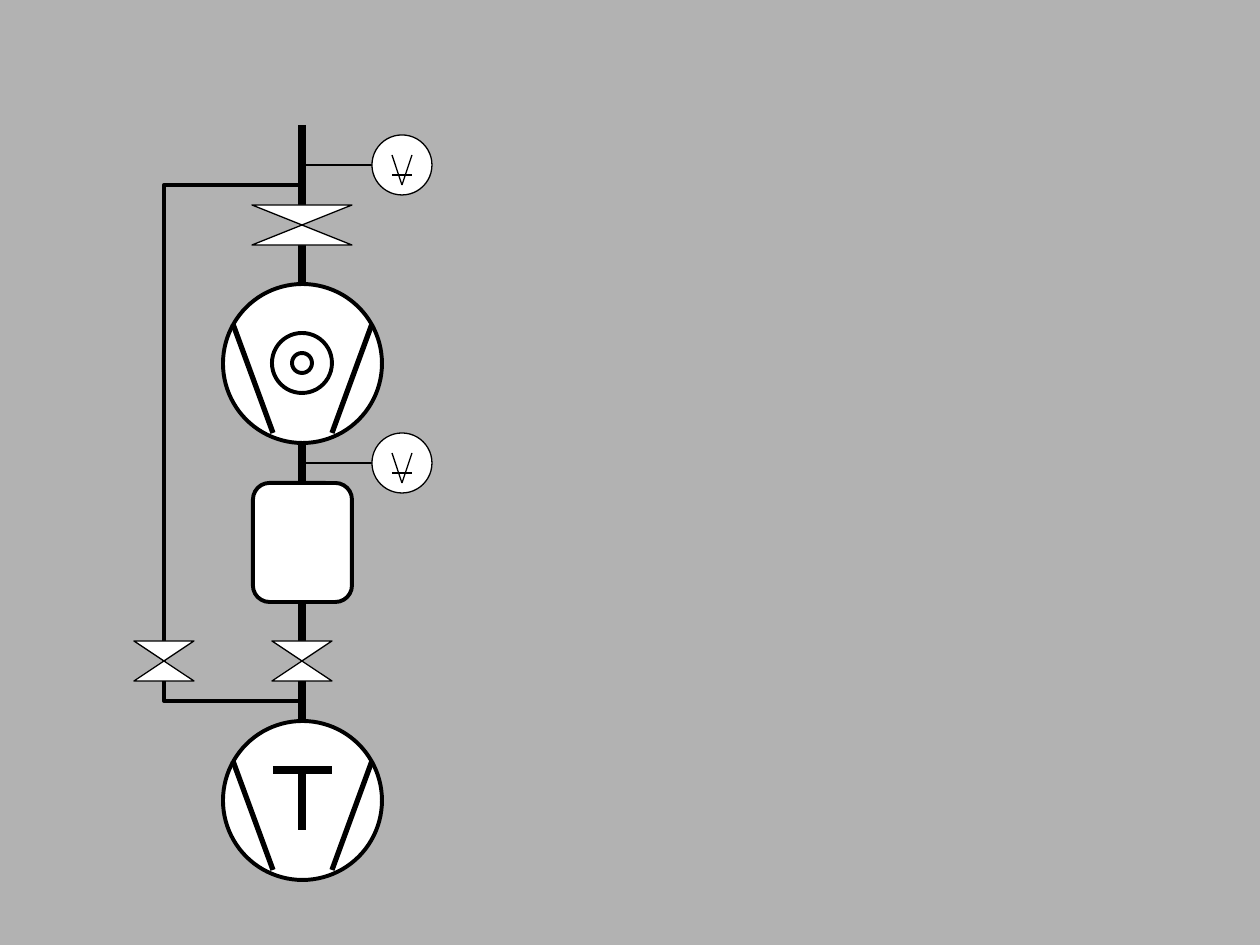
"""Builds a slide with the schematic of a two-stage vacuum pump system."""
from dataclasses import dataclass

from lxml.etree import SubElement
from pptx import Presentation
from pptx.dml.color import RGBColor
from pptx.enum.shapes import MSO_CONNECTOR as Connector, MSO_SHAPE as Shape
from pptx.oxml.ns import qn
from pptx.util import Pt


@dataclass(frozen=True)
class Theme:
    background = RGBColor(0xB2, 0xB2, 0xB2)
    ink = RGBColor(0, 0, 0)
    paper = RGBColor(0xFF, 0xFF, 0xFF)
    thin = Pt(0.75)
    outline = Pt(2.25)
    blade = Pt(3)
    pipe = Pt(4.5)


PX = 914400 // 126
AXIS = 302
BYPASS = 164
PUMP_SIZE = 159
GAUGE_SIZE = 60
GAUGE_X = 402

theme = Theme()
presentation = Presentation()
presentation.slide_width = 1260 * PX
presentation.slide_height = 945 * PX
slide = presentation.slides.add_slide(presentation.slide_layouts[6])
slide.background.fill.solid()
slide.background.fill.fore_color.rgb = theme.background
shapes = slide.shapes


def style(shape, width, filled=True):
    shape.shadow.inherit = False
    if filled:
        shape.fill.solid()
        shape.fill.fore_color.rgb = theme.paper
    else:
        shape.fill.background()
    shape.line.color.rgb = theme.ink
    shape.line.width = width


def add_line(x1, y1, x2, y2, width):
    line = shapes.add_connector(Connector.STRAIGHT, x1 * PX, y1 * PX, x2 * PX, y2 * PX)
    line.line.color.rgb = theme.ink
    line.line.width = width
    SubElement(line._element.spPr, qn("a:effectLst"))


for top, bottom in [(125, 205), (244, 284), (443, 483), (601, 641), (680, 721)]:
    add_line(AXIS, top, AXIS, bottom, theme.pipe)

for top in (284, 721):
    pump = shapes.add_shape(
        Shape.OVAL, 223 * PX, top * PX, PUMP_SIZE * PX, PUMP_SIZE * PX)
    style(pump, theme.outline)
    for outer, inner in [(233, 273), (372, 332)]:
        add_line(outer, top + 40, inner, top + 149, theme.blade)

for size in (20, 60):
    ring = shapes.add_shape(
        Shape.OVAL, AXIS * PX - size * PX // 2, 363 * PX - size * PX // 2,
        size * PX, size * PX)
    style(ring, theme.outline, filled=False)

add_line(273, 770, 332, 770, theme.pipe)
add_line(AXIS, 770, AXIS, 830, theme.pipe)

tank = shapes.add_shape(Shape.ROUNDED_RECTANGLE, 253 * PX, 483 * PX, 99 * PX, 119 * PX)
style(tank, theme.outline)

for middle in (165, 463):
    add_line(AXIS, middle, GAUGE_X - GAUGE_SIZE // 2, middle, theme.thin)
    gauge = shapes.add_shape(
        Shape.OVAL, (GAUGE_X - GAUGE_SIZE // 2) * PX, (middle - GAUGE_SIZE // 2) * PX,
        GAUGE_SIZE * PX, GAUGE_SIZE * PX)
    style(gauge, theme.thin)
    add_line(GAUGE_X - 10, middle + 10, GAUGE_X + 10, middle + 10, theme.thin)
    for side in (-10, 10):
        add_line(GAUGE_X + side, middle - 10, GAUGE_X, middle + 20, theme.thin)

builder = shapes.build_freeform(AXIS, 701, scale=PX)
builder.add_line_segments([(BYPASS, 701), (BYPASS, 185), (AXIS, 185)], close=False)
style(builder.convert_to_shape(), theme.outline, filled=False)

for x, y, half_width in [(AXIS, 225, 50), (AXIS, 661, 30), (BYPASS, 661, 30)]:
    for edge in (y - 20, y + 20):
        builder = shapes.build_freeform(x - half_width, edge, scale=PX)
        builder.add_line_segments([(x, y), (x + half_width, edge)], close=True)
        style(builder.convert_to_shape(), theme.thin)

presentation.save("out.pptx")
